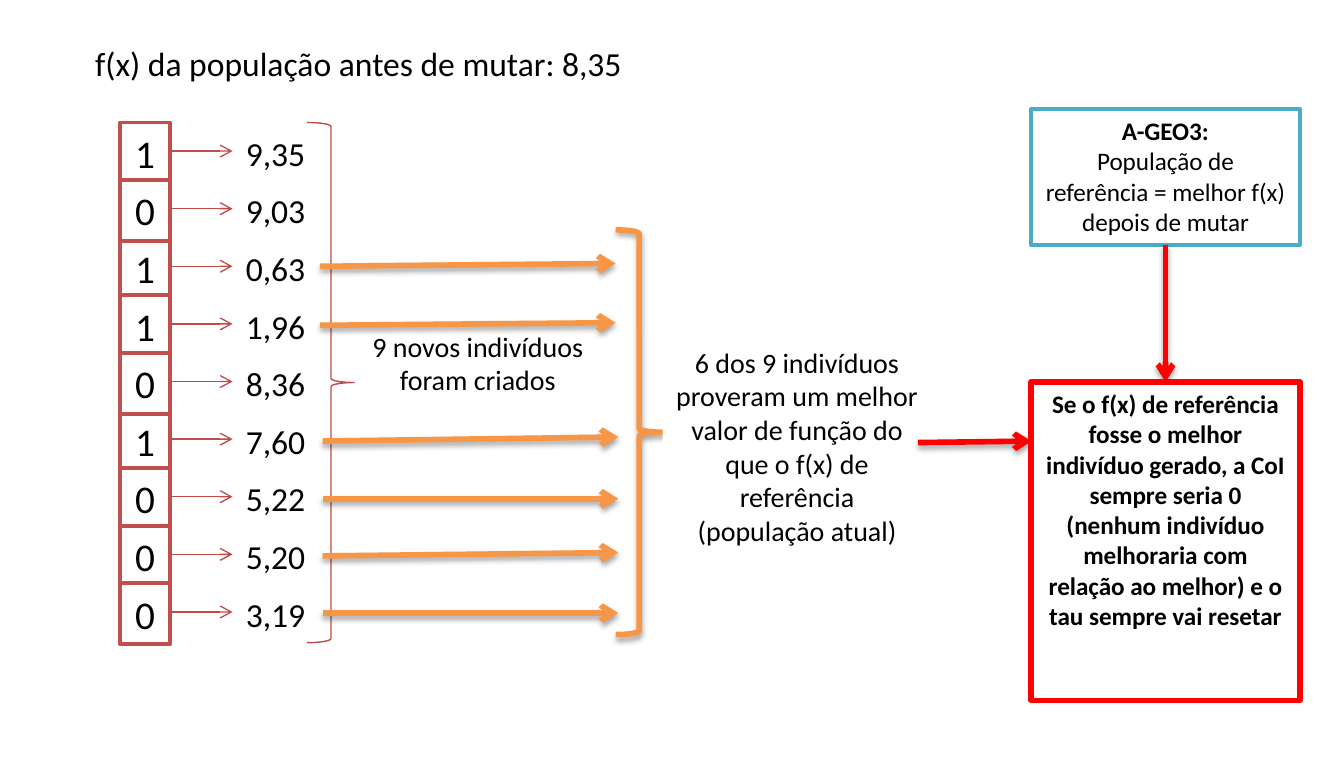
from dataclasses import dataclass

from lxml.etree import SubElement
from pptx import Presentation
from pptx.dml.color import RGBColor
from pptx.enum.shapes import MSO_CONNECTOR, MSO_SHAPE
from pptx.enum.text import PP_ALIGN
from pptx.oxml.ns import qn
from pptx.util import Pt


@dataclass(frozen=True)
class Theme:
    font: str = "Calibri"
    black: str = "000000"
    white: str = "FFFFFF"
    cell: str = "C0504D"
    thin_red: str = "BF4C48"
    orange: str = "F79646"
    teal: str = "4BACC6"
    red: str = "FF0000"
    bit_size: float = 21
    value_size: float = 18
    note_size: float = 15
    box_size: float = 13.5


@dataclass(frozen=True)
class Stroke:
    color: str
    width: float
    shadow: bool = False


@dataclass(frozen=True)
class Para:
    text: str
    size: float
    bold: bool = False


@dataclass(frozen=True)
class Box:
    x: float
    y: float
    w: float
    h: float
    paras: tuple[Para, ...]
    stroke: Stroke | None = None
    align: PP_ALIGN = PP_ALIGN.CENTER


@dataclass(frozen=True)
class Arrow:
    x1: float
    y1: float
    x2: float
    y2: float
    stroke: Stroke


@dataclass(frozen=True)
class Brace:
    x: float
    y: float
    w: float
    h: float
    stroke: Stroke


T = Theme()
THIN = Stroke(T.thin_red, 0.75)
CELL = Stroke(T.cell, 2)
ORANGE = Stroke(T.orange, 3, True)
RED = Stroke(T.red, 3, True)

ROWS = ((1, "9,35"), (0, "9,03"), (1, "0,63"), (1, "1,96"), (0, "8,36"),
        (1, "7,60"), (0, "5,22"), (0, "5,20"), (0, "3,19"))
PITCH = 30.85
BETTER_ARROWS = (
    Arrow(171.4, 142.6, 329.8, 141.1, ORANGE),
    Arrow(171.4, 174.2, 329.8, 172.8, ORANGE),
    Arrow(172.8, 236.2, 331.2, 234, ORANGE),
    Arrow(172.8, 267.1, 331.2, 267.1, ORANGE),
    Arrow(172.8, 297.7, 331.2, 295.9, ORANGE),
    Arrow(172.8, 328.3, 331.2, 328.3, ORANGE),
)
TITLE = Box(43.9, 19.4, 339.8, 28.8,
            (Para("f(x) da população antes de mutar: 8,35", T.value_size),),
            align=PP_ALIGN.LEFT)
CREATED = Box(190.1, 172.8, 131.8, 61.9,
              (Para("9 novos indivíduos", T.note_size),
               Para("foram criados", T.note_size)))
REFERENCE = Box(552.4, 58.3, 144, 72.7,
                (Para("A-GEO3:", T.box_size, True),
                 Para("População de referência = melhor f(x) depois de mutar",
                      T.box_size)),
                Stroke(T.teal, 2))
IMPROVED = Box(355, 181.4, 144, 115.9,
               (Para("6 dos 9 indivíduos proveram um melhor valor de função do "
                     "que o f(x) de referência (população atual)", T.note_size),))
CONCLUSION = Box(552.4, 204.5, 144, 170.6,
                 (Para("Se o f(x) de referência fosse o melhor indivíduo gerado, "
                       "a CoI sempre seria 0 (nenhum indivíduo melhoraria com "
                       "relação ao melhor) e o tau sempre vai resetar",
                       T.box_size, True),),
                 Stroke(T.red, 3))


def apply_stroke(sp, stroke: Stroke) -> None:
    sp.line.color.rgb = RGBColor.from_string(stroke.color)
    sp.line.width = Pt(stroke.width)
    pr = sp._element.spPr
    effects = pr.find(qn("a:effectLst"))
    if effects is None:
        effects = SubElement(pr, qn("a:effectLst"))
    if stroke.shadow:
        outer = SubElement(effects, qn("a:outerShdw"), blurRad=str(Pt(3.1)),
                           dist=str(Pt(1.8)), dir="5400000", rotWithShape="0")
        color = SubElement(outer, qn("a:srgbClr"), val=T.black)
        SubElement(color, qn("a:alpha"), val="35000")


def draw_box(s, box: Box) -> None:
    sp = s.shapes.add_textbox(Pt(box.x), Pt(box.y), Pt(box.w), Pt(box.h))
    sp.fill.solid()
    sp.fill.fore_color.rgb = RGBColor.from_string(T.white)
    if box.stroke:
        apply_stroke(sp, box.stroke)
    tf = sp.text_frame
    tf.word_wrap = True
    for i, para in enumerate(box.paras):
        p = tf.add_paragraph() if i else tf.paragraphs[0]
        p.alignment = box.align
        r = p.add_run()
        r.text = para.text
        formats = {"name": T.font, "size": Pt(para.size), "bold": para.bold}
        for name, value in formats.items():
            setattr(r.font, name, value)
        r.font.color.rgb = RGBColor.from_string(T.black)


def draw_arrow(s, arrow: Arrow) -> None:
    sp = s.shapes.add_connector(MSO_CONNECTOR.STRAIGHT, Pt(arrow.x1), Pt(arrow.y1),
                                Pt(arrow.x2), Pt(arrow.y2))
    apply_stroke(sp, arrow.stroke)
    SubElement(sp._element.spPr.find(qn("a:ln")), qn("a:tailEnd"), type="arrow")


def draw_brace(s, brace: Brace) -> None:
    sp = s.shapes.add_shape(MSO_SHAPE.RIGHT_BRACE, Pt(brace.x), Pt(brace.y),
                            Pt(brace.w), Pt(brace.h))
    sp.shadow.inherit = False
    sp.fill.background()
    apply_stroke(sp, brace.stroke)


def draw_population(s) -> None:
    rows = list(enumerate(ROWS))
    for i, (bit, _) in sorted(rows, key=lambda row: -row[1][0]):
        draw_box(s, Box(64.3, 65.6 + i * PITCH, 26.8, 32.6,
                        (Para(str(bit), T.bit_size),), CELL))
    for i, (_, value) in rows:
        draw_box(s, Box(124.6, 67.5 + i * PITCH, 54.7, 28.8,
                        (Para(value, T.value_size),), align=PP_ALIGN.LEFT))
    for i, _ in rows:
        y = 80.9 + i * PITCH
        draw_arrow(s, Arrow(91.4, y, 124.6, y, THIN))


def main() -> None:
    prs = Presentation()
    prs.slide_width, prs.slide_height = Pt(720), Pt(405.36)
    s = prs.slides.add_slide(prs.slide_layouts[6])
    draw_population(s)
    draw_box(s, TITLE)
    draw_brace(s, Brace(164.4, 65.6, 25.9, 278.6, THIN))
    draw_box(s, CREATED)
    draw_box(s, REFERENCE)
    for arrow in BETTER_ARROWS:
        draw_arrow(s, arrow)
    draw_brace(s, Brace(329.8, 123.1, 25.2, 216.7, ORANGE))
    draw_box(s, IMPROVED)
    draw_arrow(s, Arrow(491.8, 237, 552.6, 236.2, RED))
    draw_arrow(s, Arrow(624.4, 131, 624.4, 204.5, RED))
    draw_box(s, CONCLUSION)
    prs.save("out.pptx")


if __name__ == "__main__":
    main()
